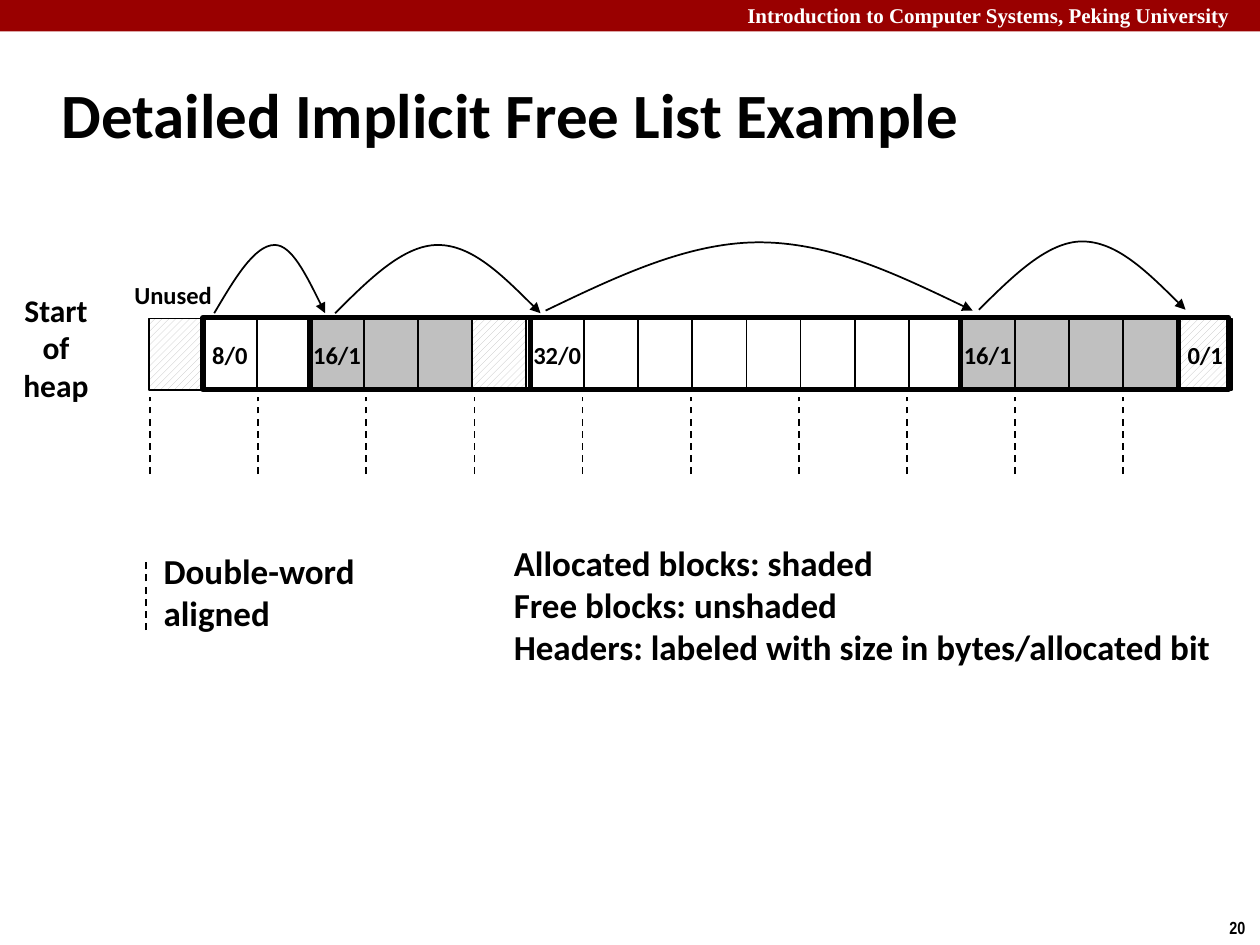
from dataclasses import dataclass

from lxml.etree import SubElement
from pptx import Presentation
from pptx.dml.color import RGBColor
from pptx.enum.dml import MSO_LINE, MSO_PATTERN
from pptx.enum.shapes import MSO_CONNECTOR, MSO_SHAPE
from pptx.enum.text import MSO_ANCHOR, PP_ALIGN
from pptx.oxml.ns import qn
from pptx.slide import Slide
from pptx.util import Pt

BLACK = RGBColor(0, 0, 0)
WHITE = RGBColor(255, 255, 255)
GRAY = RGBColor(0xC0, 0xC0, 0xC0)
RED = RGBColor(0x99, 0, 0)
HATCH = "hatch"

WORD = 30.9
HEAP_TOP, HEAP_HEIGHT = 182, 41
HEAP_END = 702

# left, header label, fill of each word, outlined
BLOCKS = [
    (85, None, [HATCH], False),
    (116, "8/0", [WHITE] * 2, True),
    (177.2, "16/1", [GRAY] * 3 + [HATCH], True),
    (303, "32/0", [WHITE] * 8, True),
    (549, "16/1", [GRAY] * 4, True),
    (673.3, "0/1", [HATCH], True),
]
# start, end, foot, peak as a share of the width
JUMPS = [
    (122.4, 185.8, 179, 0.545),
    (191.5, 308.9, 179, 0.5),
    (311.8, 555.8, 177.5, 0.5),
    (559.4, 677.5, 177, 0.5),
]
JUMP_HEIGHT = 39


@dataclass
class Canvas:
    s: Slide
    font: str = "Calibri"
    color: RGBColor = BLACK

    def set_lines(self, tf, lines, size, align=PP_ALIGN.LEFT, font=None, color=None):
        for i, line in enumerate(lines):
            p = tf.paragraphs[0] if i == 0 else tf.add_paragraph()
            p.text = line
            p.alignment = align
            p.font.name = font or self.font
            p.font.size = Pt(size)
            p.font.bold = True
            p.font.color.rgb = color or self.color

    def text(self, box, lines, size, anchor=MSO_ANCHOR.MIDDLE, wrap=False, **style):
        tf = self.s.shapes.add_textbox(*map(Pt, box)).text_frame
        tf.word_wrap = wrap
        tf.vertical_anchor = anchor
        self.set_lines(tf, lines, size, **style)

    def rect(self, box, fill=None, line=None, label=None):
        """Draw a rectangle; fill is a colour, HATCH or None, line a width or None."""
        sp = self.s.shapes.add_shape(MSO_SHAPE.RECTANGLE, *map(Pt, box))
        sp.shadow.inherit = False
        if fill is None:
            sp.fill.background()
        elif fill == HATCH:
            sp.fill.patterned()
            sp.fill.pattern = MSO_PATTERN.WIDE_UPWARD_DIAGONAL
            sp.fill.fore_color.rgb = GRAY
            sp.fill.back_color.rgb = WHITE
        else:
            sp.fill.solid()
            sp.fill.fore_color.rgb = fill
        if line is None:
            sp.line.fill.background()
        else:
            sp.line.color.rgb = self.color
            sp.line.width = Pt(line)
        if label:
            tf = sp.text_frame
            tf.word_wrap = False
            tf.vertical_anchor = MSO_ANCHOR.MIDDLE
            self.set_lines(tf, [label], 14, PP_ALIGN.CENTER)

    def dash(self, x, top, bottom):
        line = self.s.shapes.add_connector(
            MSO_CONNECTOR.STRAIGHT, Pt(x), Pt(bottom), Pt(x), Pt(top))
        SubElement(line._element.spPr, qn("a:effectLst"))
        line.line.color.rgb = self.color
        line.line.width = Pt(1)
        line.line.dash_style = MSO_LINE.DASH

    def jump(self, start, end, foot, peak):
        """Draw a curved arrow that rises to its peak and falls to the same level."""
        middle = start + peak * (end - start)
        top, half = foot - JUMP_HEIGHT, foot - JUMP_HEIGHT / 2
        rise, fall = (middle - start) / 3, (end - middle) / 3
        points = [
            (start + rise, half), (middle - rise, top), (middle, top),
            (middle + fall, top), (end - fall, half), (end, foot),
        ]
        builder = self.s.shapes.build_freeform(Pt(start), Pt(foot))
        builder.add_line_segments([(Pt(x), Pt(y)) for x, y in points], close=False)
        sp = builder.convert_to_shape()
        sp.shadow.inherit = False
        sp.fill.background()
        sp.line.color.rgb = self.color
        sp.line.width = Pt(1)
        SubElement(sp._element.spPr.find(qn("a:ln")), qn("a:tailEnd"), type="triangle")
        # Each three line segments become one Bezier segment.
        segments = list(sp._element.iter(qn("a:lnTo")))
        outline = segments[0].getparent()
        for i in range(0, len(segments), 3):
            curve = SubElement(outline, qn("a:cubicBezTo"))
            for segment in segments[i:i + 3]:
                curve.append(segment[0])
                outline.remove(segment)


def main():
    prs = Presentation()
    prs.slide_width, prs.slide_height = Pt(720), Pt(540)
    c = Canvas(prs.slides.add_slide(prs.slide_layouts[6]))

    c.rect((0, 0, 720, 18), RED)
    c.text((420, -2, 305, 22), ["Introduction to Computer Systems, Peking University"], 12,
           MSO_ANCHOR.TOP, wrap=True, font="Times New Roman", color=WHITE)
    c.text((695.5, 520.5, 24.5, 19.5), ["20"], 10, MSO_ANCHOR.TOP, font="Arial Narrow")
    c.text((28, 34.5, 598, 60), ["Detailed Implicit Free List Example"], 36, wrap=True)

    c.text((6, 162, 52, 73), ["Start", "of", "heap"], 18, align=PP_ALIGN.CENTER)
    c.text((66, 155, 66, 27), ["Unused"], 14, align=PP_ALIGN.CENTER)

    for left, label, fills, _ in BLOCKS:
        for i, fill in enumerate(fills):
            c.rect((left + i * WORD, HEAP_TOP, WORD, HEAP_HEIGHT), fill, 1,
                   label if i == 0 else None)
    ends = [block[0] for block in BLOCKS[1:]] + [HEAP_END]
    for (left, _, _, outlined), end in zip(BLOCKS, ends):
        if outlined:
            c.rect((left, HEAP_TOP - 0.5, end - left, HEAP_HEIGHT), line=3)

    for jump in JUMPS:
        c.jump(*jump)
    for i in range(10):
        c.dash(85.7 + i * 2 * WORD, 227, 271)

    c.dash(83.5, 320.5, 360)
    c.text((86.4, 310.5, 147, 55.5), ["Double-word", "aligned"], 20, wrap=True)
    c.text((286.5, 306, 417, 80), [
        "Allocated blocks: shaded",
        "Free blocks: unshaded",
        "Headers: labeled with size in bytes/allocated bit",
    ], 20, MSO_ANCHOR.TOP)
    prs.save("out.pptx")


if __name__ == "__main__":
    main()
